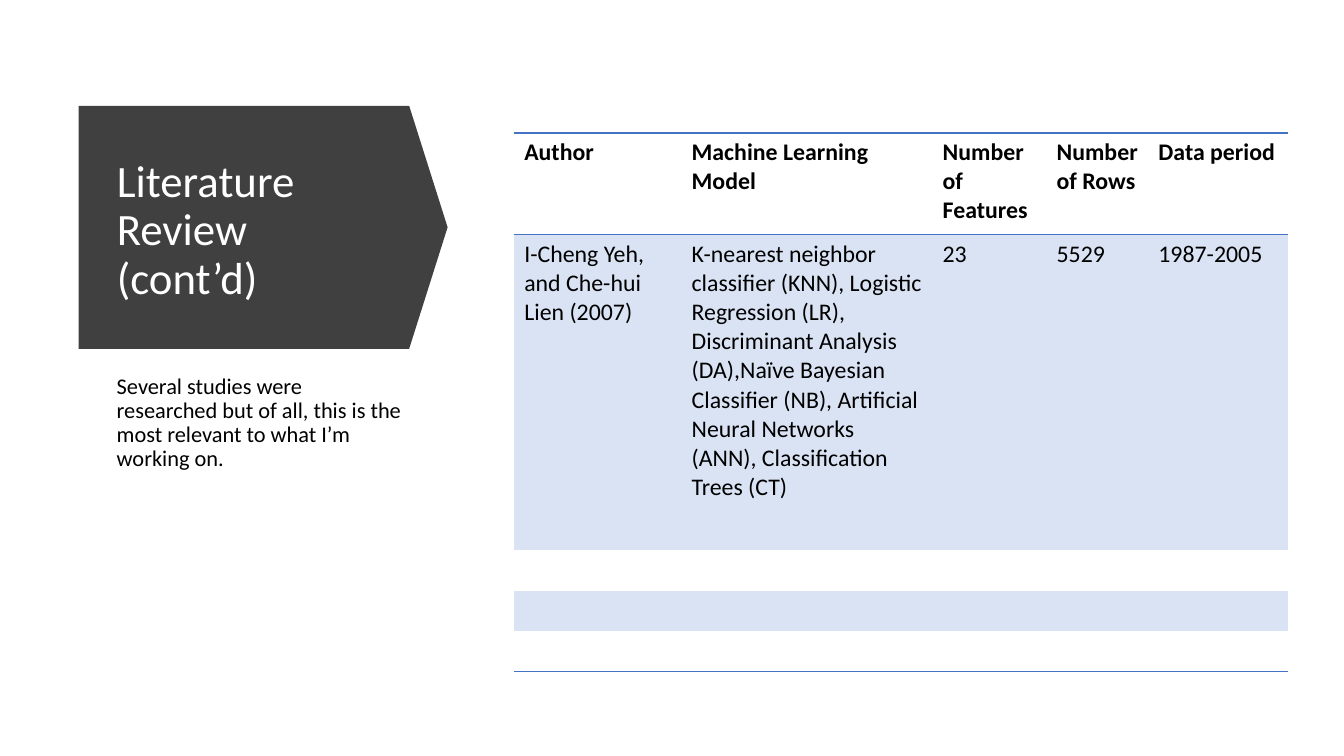
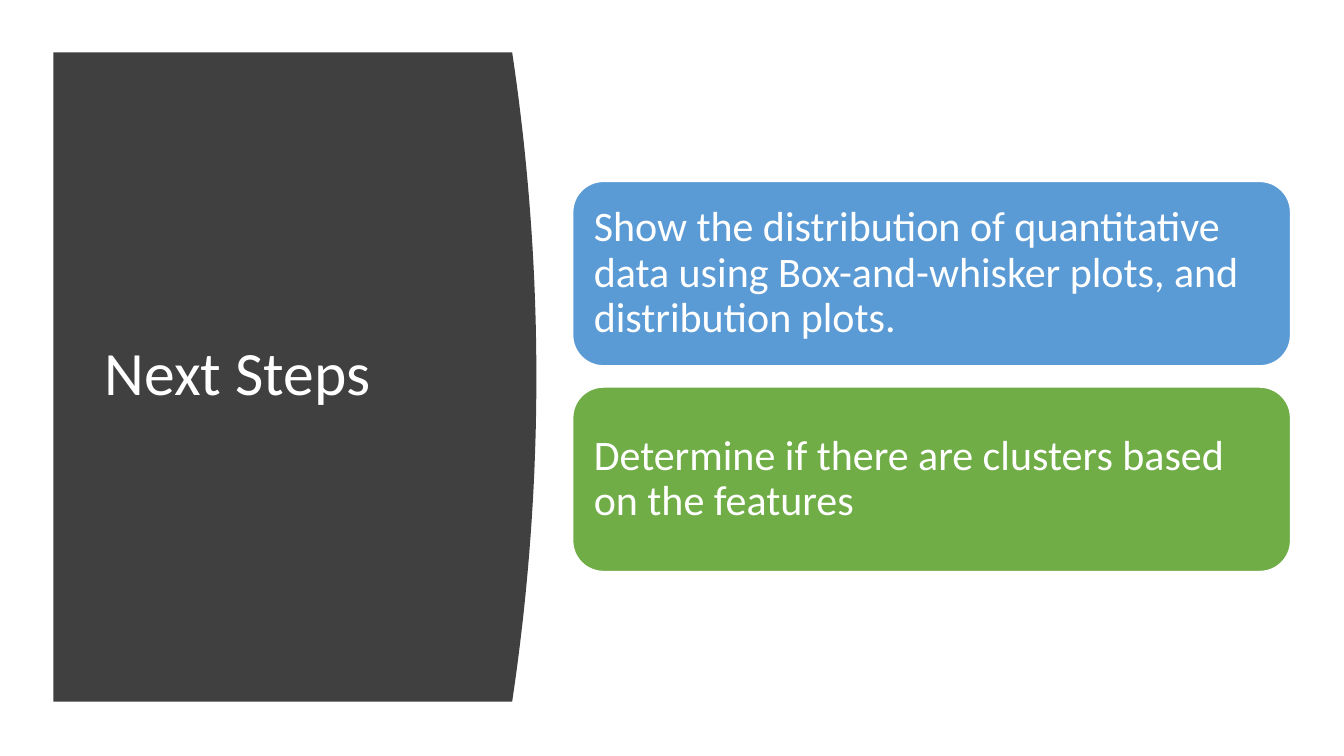
from lxml import etree
from pptx import Presentation
from pptx import util as u
from pptx.dml import color
from pptx.enum import shapes, text
from pptx.oxml import ns

FONT = "Calibri"
DARK, WHITE, BLACK = "404040", "FFFFFF", "000000"
RULE, BAND = "4472C4", "DAE3F3"
BLUE, GREEN = "5B9BD5", "70AD47"
NO_GRID_STYLE = "{2D5ABB26-0587-4C30-8999-92F81FD0307C}"

COLUMNS = [1.66, 2.49, 1.13, 1.01, 1.39]
ROWS = [1.01, 3.13, 0.4, 0.4, 0.4]
HEADINGS = ["Author", "Machine Learning Model", "Number of Features", "Number of Rows", "Data period"]
STUDY = [
    "I-Cheng Yeh, and Che-hui Lien (2007)",
    "K-nearest neighbor classifier (KNN), Logistic Regression (LR), Discriminant Analysis "
    "(DA),Naïve Bayesian Classifier (NB), Artificial Neural Networks (ANN), Classification Trees (CT)",
    "23", "5529", "1987-2005",
]
STEPS = [
    ("Show the distribution of quantitative data using Box-and-whisker plots, and distribution plots.", BLUE),
    ("Determine if there are clusters based on the features", GREEN),
]


def rgb(value):
    """Turn a hex string into a colour."""
    return color.RGBColor.from_string(value)


def inches(box):
    """Turn a left, top, width, height box into lengths."""
    return [u.Inches(value) for value in box]


def write(frame, words, size, ink=WHITE, bold=False, spacing=0.9, anchor=text.MSO_ANCHOR.MIDDLE):
    """Write one formatted left-aligned paragraph into a text frame."""
    frame.word_wrap = True
    frame.vertical_anchor = anchor
    para = frame.paragraphs[0]
    para.alignment = text.PP_ALIGN.LEFT
    para.line_spacing = spacing
    span = para.add_run()
    span.text = words
    span.font.name = FONT
    span.font.size = u.Pt(size)
    span.font.bold = bold
    span.font.color.rgb = rgb(ink)


def label(page, box, words, size, **style):
    """Add a text box."""
    write(page.shapes.add_textbox(*inches(box)).text_frame, words, size, **style)


def paint(shape, fill, line=None):
    """Give a shape a flat fill and an optional outline."""
    shape.shadow.inherit = False
    shape.fill.solid()
    shape.fill.fore_color.rgb = rgb(fill)
    if line:
        shape.line.color.rgb = rgb(line)
        shape.line.width = u.Pt(1)
    else:
        shape.line.fill.background()


def rule_cell(cell, sides):
    """Draw thin rules on the given sides of a table cell."""
    properties = cell._tc.get_or_add_tcPr()
    for position, side in enumerate(sides):
        line = etree.Element(ns.qn(f"a:ln{side}"), w=str(u.Pt(1)))
        fill = etree.SubElement(line, ns.qn("a:solidFill"))
        etree.SubElement(fill, ns.qn("a:srgbClr"), val=RULE)
        properties.insert(position, line)


def arrow_title(page, box, words):
    """Draw a dark pentagon pointing right with a title on it."""
    left, top, width, height = box
    arrow = page.shapes.add_shape(shapes.MSO_SHAPE.PENTAGON, *inches(box))
    arrow.adjustments[0] = 0.158
    paint(arrow, DARK)
    label(page, (left + 0.28, top + 0.27, 2.92, 1.95), words, 32)


def curved_title(page, box, words):
    """Draw a dark panel with a parabolic right edge and a title on it."""
    left, top, width, height = box
    bulge, count = 0.24, 40
    edge = []
    for step in range(count + 1):
        offset = 2 * step / count - 1
        edge.append((left + width - bulge * offset ** 2, top + height * step / count))
    points = [(u.Inches(x), u.Inches(y)) for x, y in edge + [(left, top + height)]]
    builder = page.shapes.build_freeform(u.Inches(left), u.Inches(top))
    builder.add_line_segments(points, close=True)
    paint(builder.convert_to_shape(), DARK)
    label(page, (left + 0.41, top + 0.59, 3.74, 5.24), words, 44)


def study_table(page, box):
    """Build the banded table of earlier studies."""
    table = page.shapes.add_table(len(ROWS), len(COLUMNS), *inches(box)).table
    table.first_row = table.horz_banding = False
    table._tbl.tblPr.find(ns.qn("a:tableStyleId")).text = NO_GRID_STYLE
    for column, width in zip(table.columns, COLUMNS):
        column.width = u.Inches(width)
    contents = {0: HEADINGS, 1: STUDY}
    rules = {0: "TB", len(ROWS) - 1: "B"}
    for index, height in enumerate(ROWS):
        table.rows[index].height = u.Inches(height)
        for position, cell in enumerate(table.rows[index].cells):
            if index % 2:
                cell.fill.solid()
                cell.fill.fore_color.rgb = rgb(BAND)
            else:
                cell.fill.background()
            rule_cell(cell, rules.get(index, ""))
            if index in contents:
                write(cell.text_frame, contents[index][position], 17, ink=BLACK, bold=index == 0, spacing=1.0)
                cell.vertical_anchor = text.MSO_ANCHOR.TOP
    table.cell(3, 0).merge(table.cell(3, len(COLUMNS) - 1))


def step_cards(page, box, gap=0.21):
    """Stack equal rounded cards, one for each step, in a box."""
    left, top, width, height = box
    card_height = (height - gap * (len(STEPS) - 1)) / len(STEPS)
    for index, (words, fill) in enumerate(STEPS):
        place = (left, top + index * (card_height + gap), width, card_height)
        card = page.shapes.add_shape(shapes.MSO_SHAPE.ROUNDED_RECTANGLE, *inches(place))
        paint(card, fill, WHITE)
        frame = card.text_frame
        frame.margin_left = frame.margin_right = frame.margin_top = frame.margin_bottom = u.Inches(0.12)
        write(frame, words, 30)


def literature_slide(page):
    """Lay out the literature review slide."""
    arrow_title(page, (0.78, 1.05, 3.66, 2.41), "Literature Review (cont’d)")
    label(page, (1.06, 3.67, 3.03, 2.26),
          "Several studies were researched but of all, this is the most relevant to what I’m working on.",
          16, ink=BLACK, anchor=text.MSO_ANCHOR.TOP)
    study_table(page, (5.1, 1.32, sum(COLUMNS), sum(ROWS)))


def next_steps_slide(page):
    """Lay out the next steps slide."""
    curved_title(page, (0.53, 0.52, 4.79, 6.44), "Next Steps")
    step_cards(page, (5.68, 1.8, 7.12, 3.87))


def main():
    """Build and save the deck."""
    deck = Presentation()
    deck.slide_width, deck.slide_height = u.Inches(13.33), u.Inches(7.5)
    for lay_out in (literature_slide, next_steps_slide):
        lay_out(deck.slides.add_slide(deck.slide_layouts[6]))
    deck.save("out.pptx")


if __name__ == "__main__":
    main()
